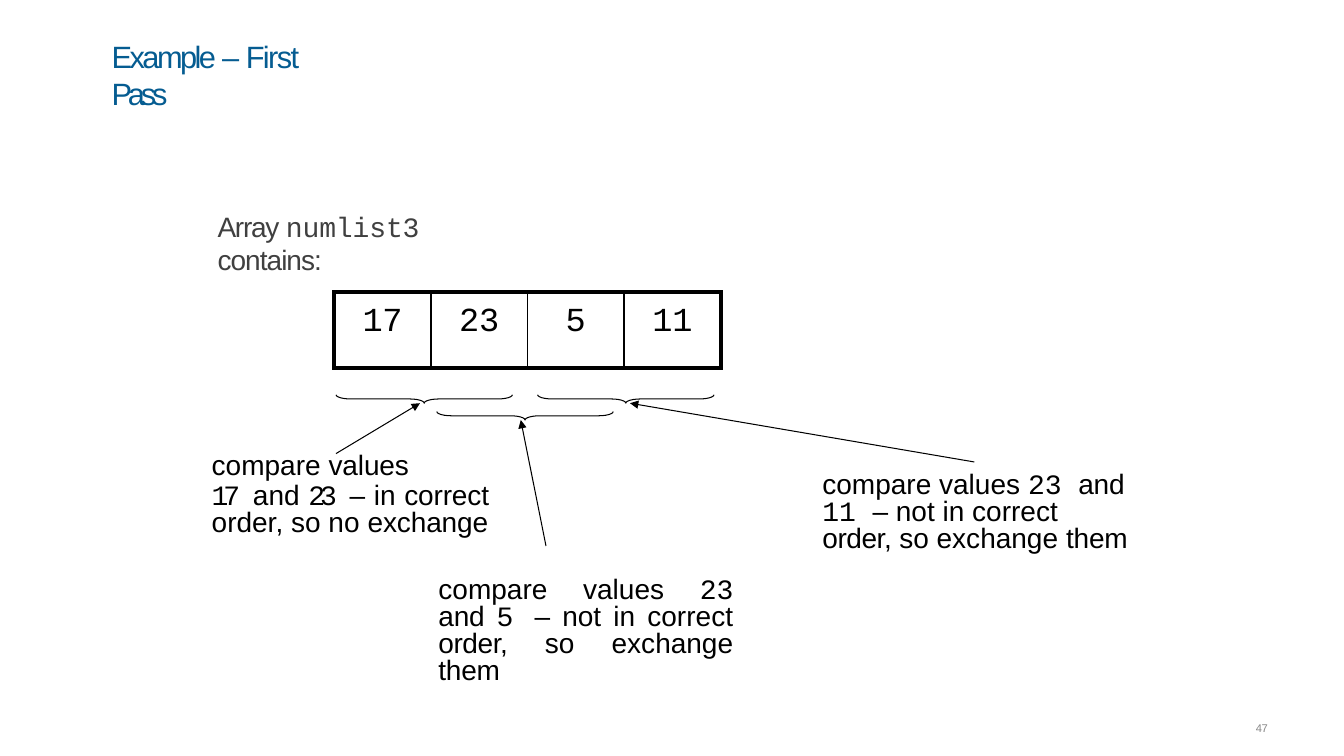
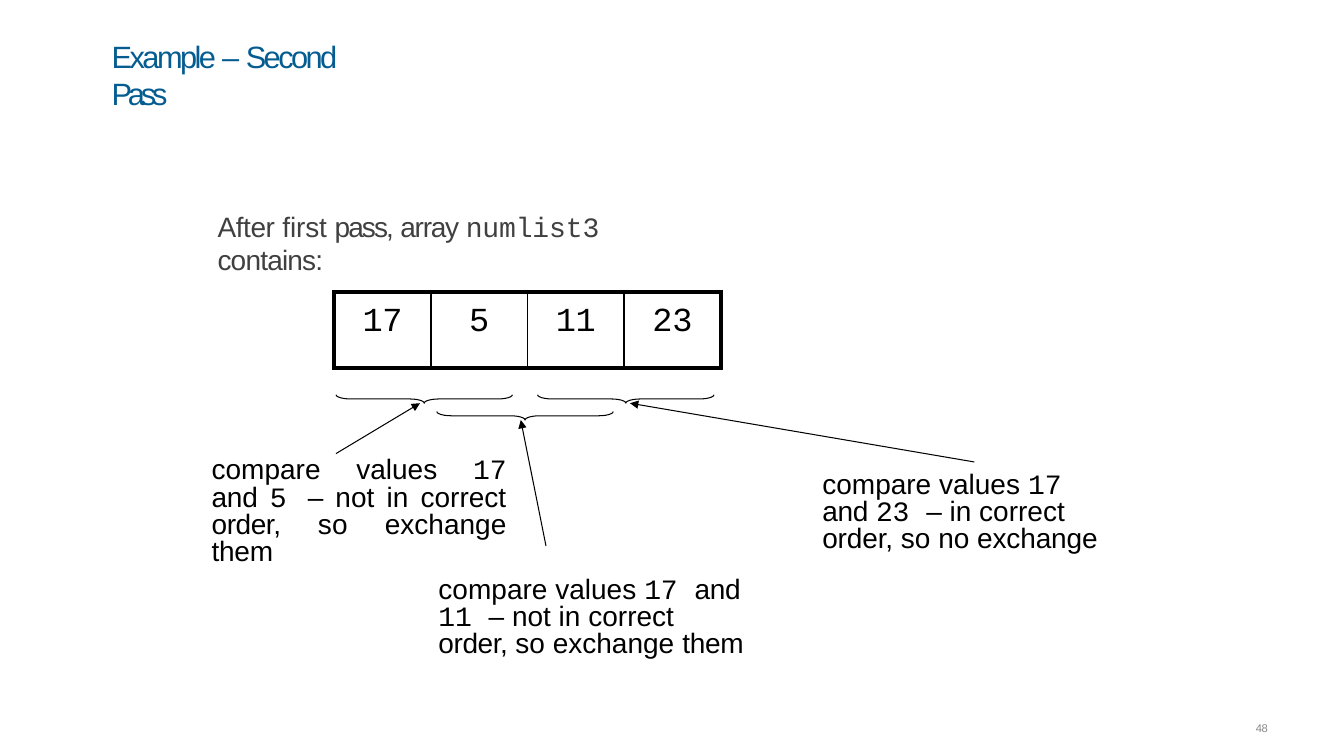
from pptx import Presentation
from pptx import util as u
from pptx.dml.color import RGBColor
from pptx.enum import shapes, text
from pptx.oxml import parse_xml
from pptx.oxml.ns import nsdecls, qn

BLACK = RGBColor(0x00, 0x00, 0x00)
TITLE_BLUE = RGBColor(0x05, 0x5C, 0x91)
CAPTION_GRAY = RGBColor(0x40, 0x40, 0x40)
NUMBER_GRAY = RGBColor(0x89, 0x89, 0x89)
SANS, MONO = "Arial", "Courier New"
LEFT, CENTER, JUSTIFY = (text.PP_ALIGN.LEFT, text.PP_ALIGN.CENTER,
                         text.PP_ALIGN.JUSTIFY)
COLS, ROWS = 160, 90            # grid over the whole slide
CELL = u.Inches(7.5) / ROWS

TITLE_ONLY = 5
BRACE_LEFT, BRACE_STEP, BRACE_SPAN = 40, 12, 21
BRACE_ROWS = (47, 49, 47)
ARROWS = ((40, 54, 50, 48), (65, 65, 62, 50), (116, 55, 75, 48))


def grid(*lengths):
    """Turn columns or rows of the grid into slide lengths."""
    return [u.Emu(round(n * CELL)) for n in lengths]


def code(words, spacing=-0.1):
    return words, spacing, MONO


def write(p, runs, size=20, color=BLACK, align=LEFT, before=1, line=None):
    """Fill a paragraph; a run is a string or (words, spacing, font)."""
    p.alignment, p.space_before, p.line_spacing = align, u.Pt(before), line
    for run in runs:
        words, spacing, font = (run if isinstance(run, tuple) else (run,)) \
            + (0, SANS)[max(0, len(run) - 1) if isinstance(run, tuple) else 0:]
        r = p.add_run()
        r.text = words
        r.font.name, r.font.size, r.font.color.rgb = font, u.Pt(size), color
        if spacing:
            r.font._element.set("spc", str(round(spacing * 100)))


class Deck:
    def __init__(self):
        self.prs = Presentation()
        self.prs.slide_width, self.prs.slide_height = grid(COLS, ROWS)
        self.s = None

    def frame(self, sp, inset):
        tf = sp.text_frame
        tf.word_wrap = True
        tf.auto_size = text.MSO_AUTO_SIZE.NONE
        tf.vertical_anchor = text.MSO_ANCHOR.TOP
        tf.margin_left = tf.margin_right = tf.margin_bottom = 0
        tf.margin_top = u.Inches(inset)
        return tf

    def title(self, runs):
        self.s = self.prs.slides.add_slide(self.prs.slide_layouts[TITLE_ONLY])
        sp = self.s.shapes.title
        sp.left, sp.top, sp.width, sp.height = grid(13.3, 4.4, 28.7, 9)
        write(self.frame(sp, 0.01).paragraphs[0], runs, size=22,
              color=TITLE_BLUE)

    def box(self, x, y, w, h, paragraphs, inset=0.01, **style):
        """Add a text box; a paragraph is (runs, its own style)."""
        tf = self.frame(self.s.shapes.add_textbox(*grid(x, y, w, h)), inset)
        for i, (runs, own) in enumerate(paragraphs):
            p = tf.add_paragraph() if i else tf.paragraphs[0]
            write(p, runs, **{**style, **own})

    def caption(self, runs, w):
        self.box(25.9, 24.8, w, 8, [(runs, {})], color=CAPTION_GRAY)

    def note(self, x, y, w, *paragraphs, **style):
        self.box(x, y, w, 14, paragraphs, inset=0.07,
                 **{"before": 5.4, "line": 0.81, **style})

    def number(self, n):
        self.box(149.5, 85.8, 3, 2, [([(str(n), -0.2)], {})], size=8,
                 color=NUMBER_GRAY, before=0.6)

    def array(self, values):
        last = len(values) - 1
        x, y, w, h = grid(39.8, 34.8, 11.5 * len(values), 9)
        tbl = self.s.shapes.add_table(1, len(values), x, y, w, h).table
        tbl.first_row = tbl.horz_banding = False
        for i, value in enumerate(values):
            cell = tbl.cell(0, i)
            cell.margin_left = cell.margin_right = cell.margin_bottom = 0
            cell.margin_top = u.Inches(0.11)
            write(cell.text_frame.paragraphs[0], [code(str(value), -0.2)],
                  size=24, align=CENTER, before=7.7)
            self.borders(cell, L=1.5 if i else 3, R=1.5 if i < last else 3,
                         T=3, B=3)
            cell.fill.background()

    def borders(self, cell, **widths):
        tc_pr = cell._tc.get_or_add_tcPr()
        for side, width in widths.items():
            tc_pr.append(parse_xml(
                f'<a:ln{side} {nsdecls("a")} w="{u.Pt(width)}"><a:solidFill>'
                f'<a:srgbClr val="{BLACK}"/></a:solidFill></a:ln{side}>'))

    def brace(self, x, y, span):
        """Add a brace that lies flat, one row high, with its tip down."""
        shift = (span - 1) / 2
        sp = self.s.shapes.add_shape(shapes.MSO_SHAPE.RIGHT_BRACE,
                                     *grid(x + shift, y - shift, 1, span))
        sp.rotation = 90
        sp.adjustments[0] = 1.75
        sp.shadow.inherit = False
        sp.fill.background()
        sp.line.color.rgb, sp.line.width = BLACK, u.Pt(0.75)

    def arrow(self, *ends):
        sp = self.s.shapes.add_connector(shapes.MSO_CONNECTOR.STRAIGHT,
                                         *grid(*ends))
        sp.line.color.rgb, sp.line.width = BLACK, u.Pt(0.75)
        sp_pr = sp._element.spPr
        sp_pr.find(qn("a:ln")).append(
            parse_xml(f'<a:tailEnd {nsdecls("a")} type="triangle"/>'))
        sp_pr.append(parse_xml(f'<a:effectLst {nsdecls("a")}/>'))

    def comparisons(self):
        for i, row in enumerate(BRACE_ROWS):
            self.brace(BRACE_LEFT + i * BRACE_STEP, row, BRACE_SPAN)
        for ends in ARROWS:
            self.arrow(*ends)


def swap(a, b):
    """Runs of a note on two values that change places."""
    return ["compare values ", code(f"{a} "), ("and ", -0.2), code(f"{b} "),
            "– not in correct ", ("order, ", -0.3), "so exchange ",
            ("them", -0.2)]


def first_pass(deck):
    deck.title([("Example ", -1.8), ("– ", -1.4), ("First ", -1.1),
                ("Pass", -3)])
    deck.caption([("Array ", -0.9), code("numlist3 "), ("contains:", -0.7)], 31)
    deck.array([17, 23, 5, 11])
    deck.comparisons()
    deck.note(25.2, 52.8, 33,
              (["compare ", ("values", -0.1)],
               {"before": 1, "line": u.Pt(21.6)}),
              ([code("17 ", -3.6), "and ", code("23 ", -3.6), "– in ",
                ("correct ", -0.1), "order, so no ", ("exchange", -0.1)],
               {"before": 2.6, "line": 0.79}), align=JUSTIFY)
    deck.note(52.2, 67.9, 35.1, (swap(23, 5), {}), align=JUSTIFY)
    deck.note(97.9, 55.4, 36.6, (swap(23, 11), {}))
    deck.number(47)


def second_pass(deck):
    deck.title([("Example ", -1.8), ("– ", -1.4), ("Second ", -1.8),
                ("Pass", -3)])
    deck.caption([("After ", -0.3), ("first ", -0.1), ("pass,", -1.4),
                  (" array ", -0.9), code("numlist3 "), ("contains:", -0.6)],
                 50)
    deck.array([17, 5, 11, 23])
    deck.comparisons()
    deck.note(25.2, 53.7, 35.1, (swap(17, 5), {}), align=JUSTIFY)
    deck.note(52.2, 67.9, 36.6, (swap(17, 11), {}))
    deck.note(97.9, 55.4, 35.1,
              (["compare values ", code("17 "), ("and ", -0.2), code("23 "),
                "– in correct", (" order, ", -0.1), "so no",
                (" exchange", -0.1)], {}))
    deck.number(48)


def main():
    deck = Deck()
    first_pass(deck)
    second_pass(deck)
    deck.prs.save("out.pptx")


if __name__ == "__main__":
    main()
